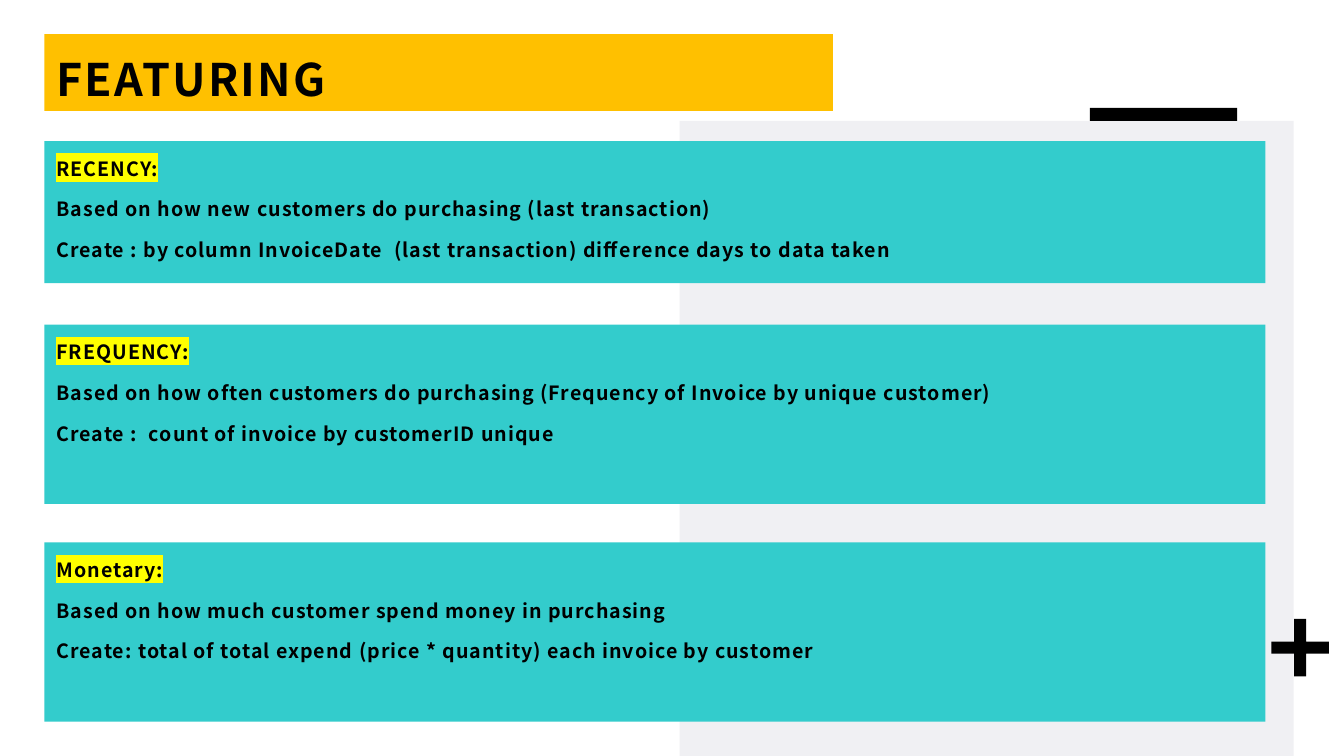
from lxml import etree
from pptx import Presentation
from pptx.dml.color import RGBColor
from pptx.enum.shapes import MSO_SHAPE as Shape
from pptx.enum.text import MSO_ANCHOR as Anchor, PP_ALIGN as Align
from pptx.oxml.ns import qn
from pptx.util import Inches, Pt

COLORS = {
    "panel": "F0F0F3",
    "title": "FFC000",
    "box": "33CCCC",
    "highlight": "FFFF00",
    "black": "000000",
}
FONT = "Noto Sans CJK SC"
LEFT = 0.44

presentation = Presentation()
presentation.slide_width = Inches(13.33)
presentation.slide_height = Inches(7.5)
slide = presentation.slides.add_slide(presentation.slide_layouts[6])


def add_block(kind, left, top, width, height, color):
    shape = slide.shapes.add_shape(
        kind, Inches(left), Inches(top), Inches(width), Inches(height))
    shape.shadow.inherit = False
    shape.fill.solid()
    shape.fill.fore_color.rgb = RGBColor.from_string(COLORS[color])
    shape.line.fill.background()
    return shape


def write_lines(shape, lines, size, line_spacing, space_before, tracking):
    """Fill the shape with bold text; tracking is in hundredths of a point."""
    frame = shape.text_frame
    frame.word_wrap = True
    frame.vertical_anchor = Anchor.TOP
    frame.margin_left = frame.margin_top = frame.margin_right = Inches(0.12)
    frame.margin_bottom = Inches(0.1)
    frame.text = "\n".join(lines)
    for paragraph in frame.paragraphs:
        paragraph.alignment = Align.LEFT
        paragraph.line_spacing = line_spacing
        paragraph.space_before = Pt(space_before)
        paragraph.font.name = FONT
        paragraph.font.size = Pt(size)
        paragraph.font.bold = True
        paragraph.font.color.rgb = RGBColor.from_string(COLORS["black"])
        for run in paragraph.runs:
            run.font._element.set("spc", str(tracking))
    return frame


add_block(Shape.RECTANGLE, 6.74, 1.2, 6.09, 6.3, "panel")
plus = add_block(Shape.CROSS, 12.61, 6.14, 0.57, 0.57, "black")
plus.adjustments[0] = 0.395
add_block(Shape.RECTANGLE, 10.81, 1.07, 1.46, 0.13, "black")

title = add_block(Shape.RECTANGLE, LEFT, 0.34, 7.82, 0.76, "title")
write_lines(title, ["FEATURING"], 32, 1.1, 0, 160)

features = [
    (1.4, 1.41, [
        "RECENCY:",
        "Based on how new customers do purchasing (last transaction)",
        "Create : by column InvoiceDate  (last transaction) difference days to data taken",
    ]),
    (3.22, 1.78, [
        "FREQUENCY:",
        "Based on how often customers do purchasing (Frequency of Invoice by unique customer)",
        "Create :  count of invoice by customerID unique",
    ]),
    (5.38, 1.78, [
        "Monetary:",
        "Based on how much customer spend money in purchasing",
        "Create: total of total expend (price * quantity) each invoice by customer",
    ]),
]
for top, height, lines in features:
    box = add_block(Shape.RECTANGLE, LEFT, top, 12.11, height, "box")
    frame = write_lines(box, lines, 14, 1.14, 10, 70)

    heading = frame.paragraphs[0].runs[0]
    highlight = etree.Element(qn("a:highlight"))
    etree.SubElement(highlight, qn("a:srgbClr"), val=COLORS["highlight"])
    heading.font._element.append(highlight)

presentation.save("out.pptx")
